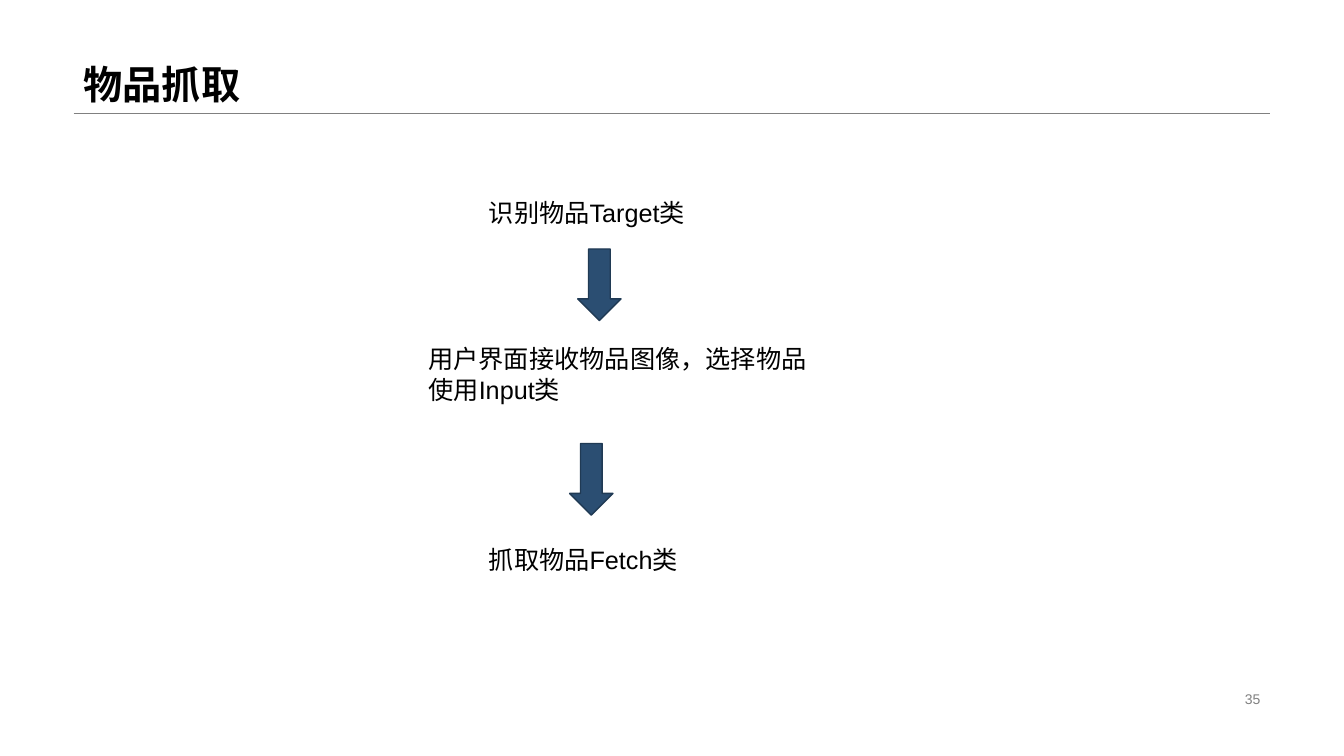
from lxml import etree
from pptx import Presentation
from pptx.dml.color import RGBColor
from pptx.enum.shapes import MSO_CONNECTOR, MSO_SHAPE
from pptx.enum.text import MSO_ANCHOR, PP_ALIGN
from pptx.oxml.ns import qn
from pptx.util import Inches, Pt

LINE = MSO_CONNECTOR.STRAIGHT
DOWN = MSO_SHAPE.DOWN_ARROW
LOW, MID, TOP = MSO_ANCHOR.BOTTOM, MSO_ANCHOR.MIDDLE, MSO_ANCHOR.TOP
LEFT, RIGHT = PP_ALIGN.LEFT, PP_ALIGN.RIGHT
FONT = "Arial"
BLACK, GREY, NAVY, EDGE = "000000", "808080", "2B4E72", "203A54"


def paint(code):
    return RGBColor.from_string(code)


def write(shape, text, size, color=BLACK, bold=False, align=LEFT, anchor=TOP):
    frame = shape.text_frame
    frame.word_wrap = True
    frame.vertical_anchor = anchor
    line = frame.paragraphs[0]
    line.text = text
    line.alignment = align
    line.font.name = FONT
    line.font.size = Pt(size)
    line.font.bold = bold
    line.font.color.rgb = paint(color)
    return line


def add_text(slide, box, text, size, **style):
    shape = slide.shapes.add_textbox(*map(Inches, box))
    write(shape, text, size, **style)


def add_head(slide, box, text):
    x, y, w, h = box
    title = slide.shapes.title
    title.left, title.top, title.width, title.height = map(Inches, box)
    line = write(title, text, 28, bold=True, anchor=LOW)
    line.line_spacing = 0.9
    ends = map(Inches, (x, y + h, x + w, y + h))
    rule = slide.shapes.add_connector(LINE, *ends)
    rule.line.color.rgb = paint(GREY)
    rule.line.width = Pt(0.25)
    etree.SubElement(rule._element.spPr, qn("a:effectLst"))


def add_arrow(slide, box):
    arrow = slide.shapes.add_shape(DOWN, *map(Inches, box))
    arrow.shadow.inherit = False
    arrow.fill.solid()
    arrow.fill.fore_color.rgb = paint(NAVY)
    arrow.line.color.rgb = paint(EDGE)
    arrow.line.width = Pt(1)


def add_flow(slide, box):
    x, y, w, h = box
    inset = 0.6
    end = 0.4
    steps = [
        (inset, 0, 2.66, end, "识别物品Target类"),
        (0, 1.45, w, 0.71, "用户界面接收物品图像，选择物品使用Input类"),
        (inset, h - end, 2.66, end, "抓取物品Fetch类"),
    ]
    for dx, dy, wide, high, text in steps:
        add_text(slide, (x + dx, y + dy, wide, high), text, 18)
    for dx, dy in [(1.58, 0.56), (1.5, 2.49)]:
        add_arrow(slide, (x + dx, y + dy, 0.43, 0.71))


def main():
    deck = Presentation()
    deck.slide_width = Inches(13.33)
    deck.slide_height = Inches(7.5)
    slide = deck.slides.add_slide(deck.slide_layouts[5])
    add_head(slide, (0.73, 0, 11.87, 1.12), "物品抓取")
    add_flow(slide, (4.15, 1.91, 3.99, 3.84))
    add_text(slide, (9.42, 6.82, 3.18, 0.23), "35", 10,
             color=GREY, align=RIGHT, anchor=MID)
    deck.save("out.pptx")


if __name__ == "__main__":
    main()
